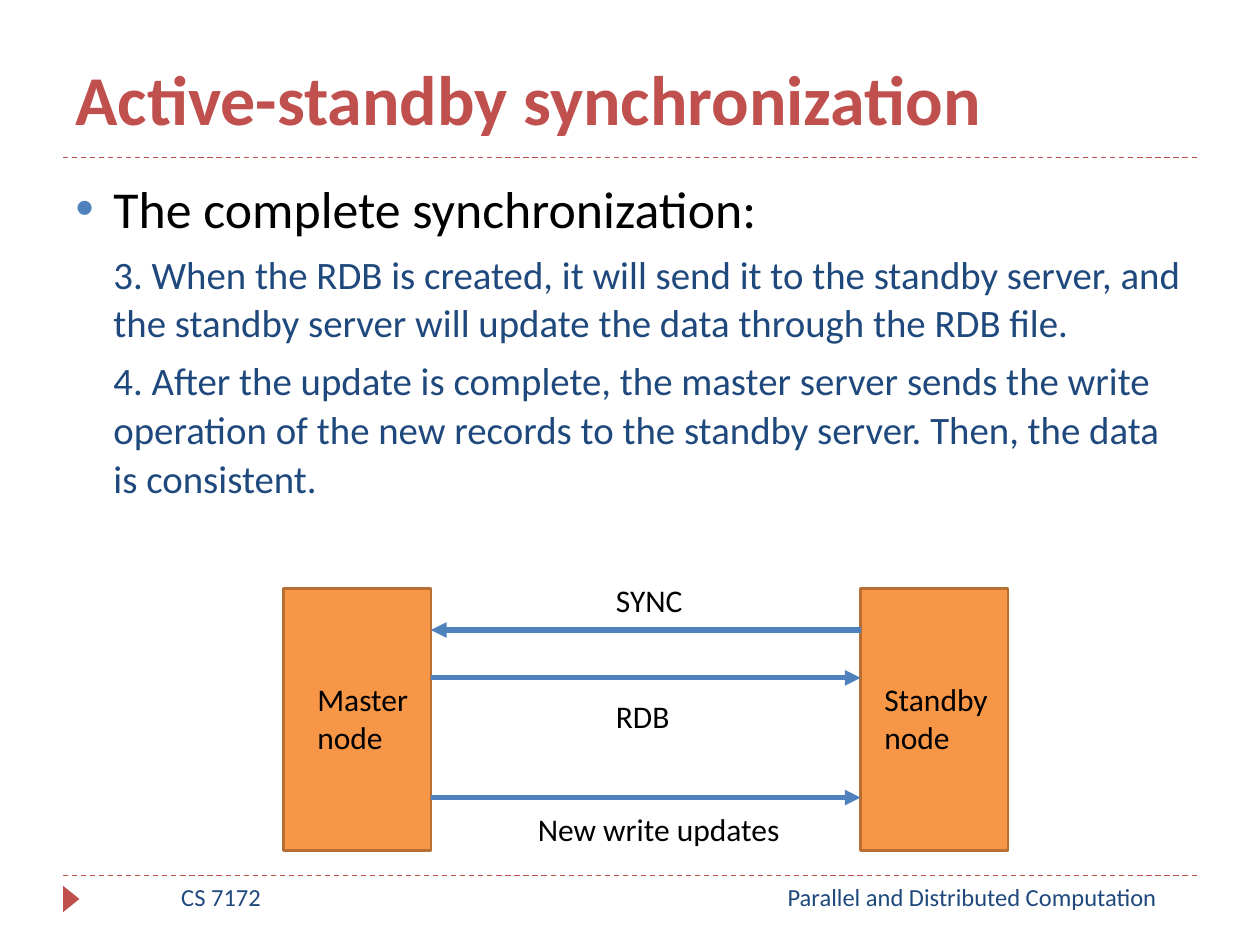
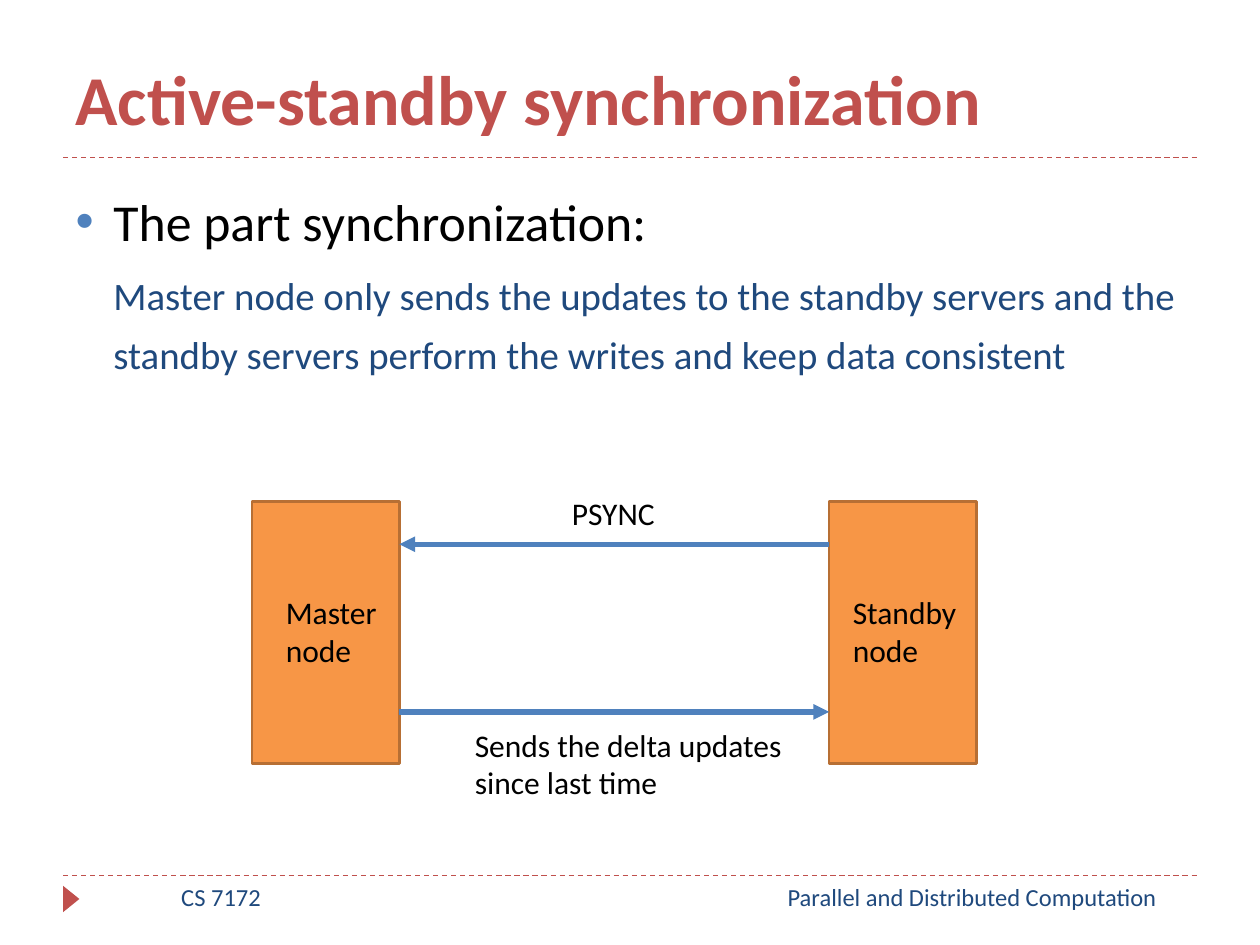
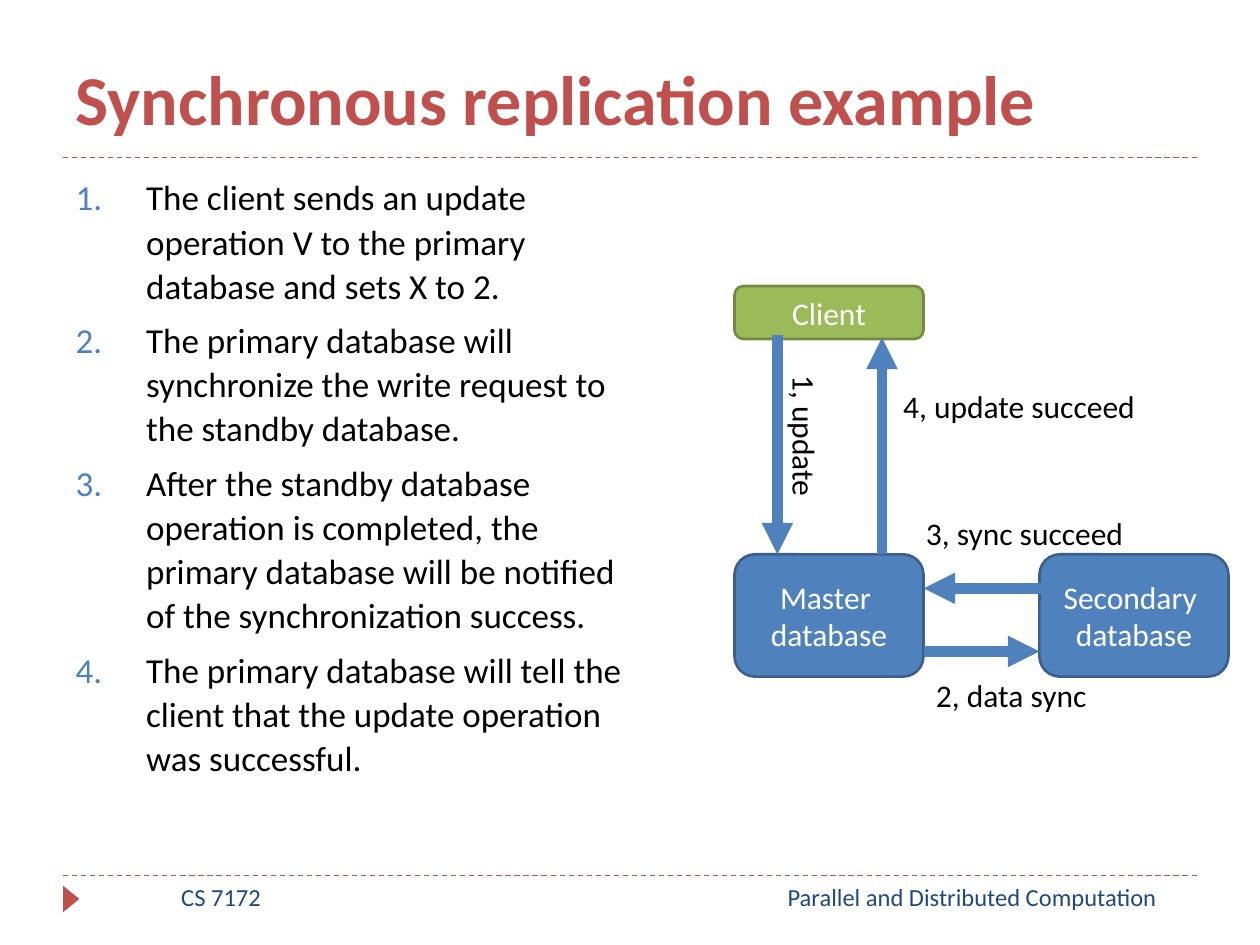
"""Build three slides on database synchronization and replication."""
from lxml import etree
from pptx import Presentation
from pptx import util as u
from pptx.dml.color import RGBColor
from pptx.enum import dml, shapes, text
from pptx.oxml import ns

FONT = "Calibri"
RED = RGBColor(0xC0, 0x50, 0x4D)
NAVY = RGBColor(0x1F, 0x49, 0x7D)
BLUE = RGBColor(0x4F, 0x81, 0xBD)
DARK_BLUE = RGBColor(0x3A, 0x5F, 0x8C)
ORANGE = RGBColor(0xF7, 0x96, 0x46)
DARK_ORANGE = RGBColor(0xB7, 0x6F, 0x34)
GREEN = RGBColor(0x9B, 0xBB, 0x59)
DARK_GREEN = RGBColor(0x73, 0x8A, 0x42)
BLACK = RGBColor(0, 0, 0)
WHITE = RGBColor(0xFF, 0xFF, 0xFF)

NODE_WIDTH, NODE_HEIGHT, NODE_PITCH = 1.17, 2.08, 4.58


def add_text(page, words, left, top, width, height=0.4, size=18, color=BLACK, align=None):
    box = page.shapes.add_textbox(u.Inches(left), u.Inches(top), u.Inches(width), u.Inches(height))
    box.text_frame.word_wrap = height > 0.4
    box.text_frame.text = words
    para = box.text_frame.paragraphs[0]
    para.alignment = align
    span = para.runs[0]
    span.font.name, span.font.size, span.font.color.rgb = FONT, u.Pt(size), color
    return box


def add_line(page, start, end, color, width, arrow=True):
    line = page.shapes.add_connector(
        shapes.MSO_CONNECTOR.STRAIGHT, *[u.Inches(value) for value in (*start, *end)])
    line.line.color.rgb = color
    line.line.width = u.Pt(width)
    if arrow:
        etree.SubElement(line.line._get_or_add_ln(), ns.qn("a:tailEnd"), type="triangle")
    else:
        line.line.dash_style = dml.MSO_LINE.DASH
    etree.SubElement(line._element.spPr, ns.qn("a:effectLst"))


slides = [
    {"title": "Active-standby synchronization", "size": (9, 2.8), "spacing": 1.05,
     "bullet": "The complete synchronization:",
     "details": [
         "3. When the RDB is created, it will send it to the standby server, and the standby "
         "server will update the data through the RDB file.",
         "4. After the update is complete, the master server sends the write operation of the "
         "new records to the standby server. Then, the data is consistent."]},
    {"title": "Active-standby synchronization", "size": (9, 2), "spacing": 1.25,
     "bullet": "The part synchronization:",
     "details": [
         "Master node only sends the updates to the standby servers and the standby servers "
         "perform the writes and keep data consistent"]},
    {"title": "Synchronous replication example", "size": (4.75, 5.4), "spacing": 1.05,
     "steps": [
         "The client sends an update operation V to the primary database and sets X to 2.",
         "The primary database will synchronize the write request to the standby database.",
         "After the standby database operation is completed, the primary database will be "
         "notified of the synchronization success.",
         "The primary database will tell the client that the update operation was successful."]},
]

deck = Presentation()
deck.slide_width, deck.slide_height = u.Inches(10), u.Inches(7.5)
pages = []

for content in slides:
    page = deck.slides.add_slide(deck.slide_layouts[1])
    pages.append(page)

    for rule_top in (6.95, 1.25):
        add_line(page, (0.5, rule_top), (9.5, rule_top), RED, 0.75, arrow=False)
    marker = page.shapes.add_shape(
        shapes.MSO_SHAPE.ISOSCELES_TRIANGLE,
        u.Inches(0.46), u.Inches(7.07), u.Inches(0.21), u.Inches(0.13))
    marker.rotation = 90
    marker.shadow.inherit = False
    marker.fill.solid()
    marker.fill.fore_color.rgb = RED
    marker.line.fill.background()
    add_text(page, "Parallel and Distributed Computation", 5.92, 6.95, 3.59,
             size=14, color=NAVY, align=text.PP_ALIGN.CENTER)
    add_text(page, "CS 7172", 0.67, 6.95, 2.17,
             size=14, color=NAVY, align=text.PP_ALIGN.CENTER)

    title = page.shapes.title
    title.left, title.top, title.width, title.height = [u.Inches(v) for v in (0.5, 0.08, 9, 1.08)]
    title.text_frame.text = content["title"]
    title.text_frame.vertical_anchor = text.MSO_ANCHOR.BOTTOM
    title.text_frame.auto_size = text.MSO_AUTO_SIZE.NONE
    para = title.text_frame.paragraphs[0]
    para.alignment = text.PP_ALIGN.LEFT
    font = para.runs[0].font
    font.name, font.size, font.bold, font.color.rgb = FONT, u.Pt(40), True, RED

    body = page.placeholders[1]
    body.left, body.top = u.Inches(0.5), u.Inches(1.33)
    body.width, body.height = [u.Inches(value) for value in content["size"]]
    frame = body.text_frame
    frame.auto_size = text.MSO_AUTO_SIZE.NONE
    steps = content.get("steps", [])
    frame.text = "\n".join(steps or [content["bullet"], *content["details"]])
    for index, para in enumerate(frame.paragraphs):
        detail = not steps and index > 0
        indent = 0.56 if steps else 0.3
        para.level = 1 if detail else 0
        props = para._p.get_or_add_pPr()
        props.set("marL", str(u.Inches(indent)))
        props.set("indent", str(0 if detail else -u.Inches(indent)))
        if detail:
            etree.SubElement(props, ns.qn("a:buNone"))
        else:
            bullet_color = etree.SubElement(props, ns.qn("a:buClr"))
            etree.SubElement(bullet_color, ns.qn("a:srgbClr"), val=str(BLUE))
            if steps:
                etree.SubElement(props, ns.qn("a:buAutoNum"), type="arabicPeriod")
            else:
                etree.SubElement(props, ns.qn("a:buChar"), char="•")
        para.line_spacing = content["spacing"]
        para.space_before = u.Pt(0 if index == 0 else 5 if detail else 6)
        font = para.runs[0].font
        font.name = FONT
        font.size = u.Pt(20 if steps else 22.2 if detail else 29.6)
        font.color.rgb = NAVY if detail else BLACK

complete, partial, replication = pages

for page, left, top in ((complete, 2.25, 4.67), (partial, 2, 3.98)):
    for name, node_left, inset in (("Master node", left, 0.17),
                                   ("Standby node", left + NODE_PITCH, 0.09)):
        node = page.shapes.add_shape(
            shapes.MSO_SHAPE.RECTANGLE, u.Inches(node_left), u.Inches(top),
            u.Inches(NODE_WIDTH), u.Inches(NODE_HEIGHT))
        node.shadow.inherit = False
        node.fill.solid()
        node.fill.fore_color.rgb = ORANGE
        node.line.color.rgb = DARK_ORANGE
        node.line.width = u.Pt(1.5)
        add_text(page, name, node_left + inset, top + 0.68, NODE_WIDTH, 0.71)

for page, left, top, to_master in ((complete, 2.25, 5, True), (complete, 2.25, 5.38, False),
                                   (complete, 2.25, 6.33, False), (partial, 2, 4.32, True),
                                   (partial, 2, 5.65, False)):
    master_side, standby_side = (left + NODE_WIDTH, top), (left + NODE_PITCH, top)
    if to_master:
        add_line(page, standby_side, master_side, BLUE, 3)
    else:
        add_line(page, master_side, standby_side, BLUE, 3)

add_text(complete, "SYNC", 4.79, 4.56, 0.74)
add_text(complete, "RDB", 4.79, 5.48, 0.63)
add_text(complete, "New write updates", 4.17, 6.38, 2.14)
add_text(partial, "PSYNC", 4.44, 3.87, 0.87)
add_text(partial, "Sends the delta updates since last time", 3.67, 5.71, 2.66, 0.71)

for name, left, top, height, fill, edge in (
        ("Client", 5.83, 2.27, 0.42, GREEN, DARK_GREEN),
        ("Master \ndatabase", 5.83, 4.4, 0.97, BLUE, DARK_BLUE),
        ("Secondary \ndatabase", 8.25, 4.4, 0.97, BLUE, DARK_BLUE)):
    box = replication.shapes.add_shape(
        shapes.MSO_SHAPE.ROUNDED_RECTANGLE,
        u.Inches(left), u.Inches(top), u.Inches(1.5), u.Inches(height))
    box.shadow.inherit = False
    box.fill.solid()
    box.fill.fore_color.rgb = fill
    box.line.color.rgb = edge
    box.line.width = u.Pt(1.5)
    box.text_frame.text = name
    box.text_frame.vertical_anchor = text.MSO_ANCHOR.MIDDLE
    for para in box.text_frame.paragraphs:
        para.alignment = text.PP_ALIGN.CENTER
        font = para.runs[0].font
        font.name, font.size, font.color.rgb = FONT, u.Pt(18), WHITE

for start, end in (((6.17, 2.66), (6.17, 4.4)), ((7, 4.4), (7, 2.68)),
                   ((7.33, 5.17), (8.25, 5.17)), ((8.29, 4.67), (7.33, 4.67))):
    add_line(replication, start, end, BLUE, 6)

add_text(replication, "1, update", 5.8, 3.27, 1.18).rotation = 90
add_text(replication, "2, data sync", 7.33, 5.32, 1.41)
add_text(replication, "3, sync succeed", 7.25, 4.03, 1.79)
add_text(replication, "4, update succeed", 7.07, 3.02, 2.07)

deck.save("out.pptx")
